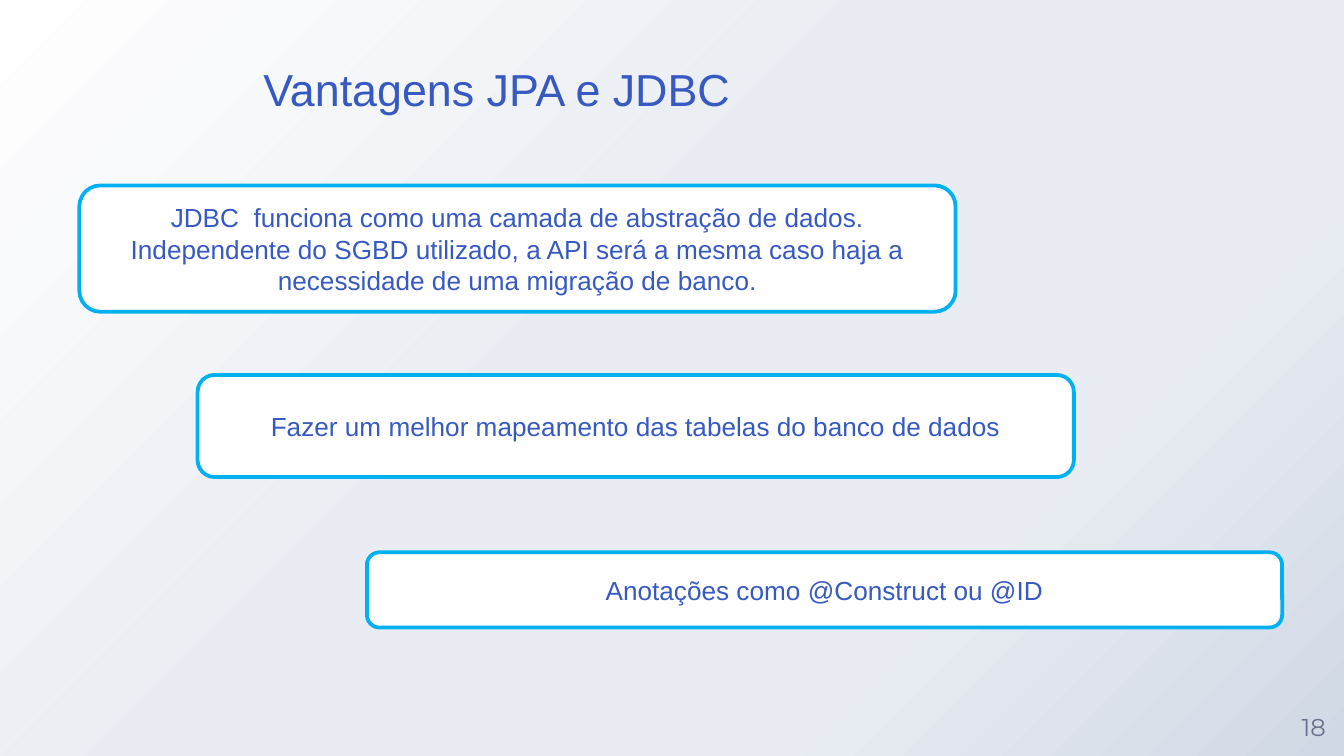
from lxml import etree
from pptx import Presentation
from pptx.dml.color import RGBColor
from pptx.enum.shapes import MSO_SHAPE as Shape
from pptx.enum.text import MSO_ANCHOR as Anchor, PP_ALIGN as Align
from pptx.oxml.ns import qn
from pptx.util import Inches, Pt

BLUE, CYAN, WHITE, GREY = "3659C2", "00B0F0", "FFFFFF", "68728D"
BACKGROUND_STOPS = [(0, WHITE), (44, "E9EDF3"), (72, "E9EDF3"), (100, "D0D8E5")]

# Each advantage: left, top, width, height, text
ADVANTAGES = [
    (0.59, 1.38, 6.52, 0.94,
     "JDBC  funciona como uma camada de abstração de dados. Independente do "
     "SGBD utilizado, a API será a mesma caso haja a necessidade de uma "
     "migração de banco."),
    (1.47, 2.79, 6.52, 0.76,
     "Fazer um melhor mapeamento das tabelas do banco de dados"),
    (2.73, 4.11, 6.81, 0.56, "Anotações como @Construct ou @ID"),
]


def color(value):
    return RGBColor.from_string(value)


def set_text(shape, text, size, font_name, font_color, anchor=Anchor.MIDDLE):
    frame = shape.text_frame
    frame.text = text
    frame.word_wrap = True
    frame.vertical_anchor = anchor
    paragraph = frame.paragraphs[0]
    paragraph.alignment = Align.CENTER
    font = paragraph.runs[0].font
    font.size = Pt(size)
    font.name = font_name
    font.color.rgb = color(font_color)
    return frame


def paint_background(slide):
    """Radial gradient spreading from the top left corner."""
    slide.background.fill.gradient()
    gradient = next(slide.element.iter(qn("a:gradFill")))
    for child in list(gradient):
        gradient.remove(child)
    stops = etree.SubElement(gradient, qn("a:gsLst"))
    for position, value in BACKGROUND_STOPS:
        stop = etree.SubElement(stops, qn("a:gs"), pos=str(position * 1000))
        etree.SubElement(stop, qn("a:srgbClr"), val=value)
    path = etree.SubElement(gradient, qn("a:path"), path="circle")
    etree.SubElement(path, qn("a:fillToRect"), r="100000", b="100000")


def add_title(slide, left, top, width, height):
    box = slide.shapes.add_textbox(
        Inches(left), Inches(top), Inches(width), Inches(height))
    set_text(box, "Vantagens JPA e JDBC", 24, "Arial", BLUE, Anchor.TOP)


def add_advantage(slide, left, top, width, height, text):
    card = slide.shapes.add_shape(
        Shape.ROUNDED_RECTANGLE,
        Inches(left), Inches(top), Inches(width), Inches(height))
    card.shadow.inherit = False
    card.fill.solid()
    card.fill.fore_color.rgb = color(WHITE)
    card.line.color.rgb = color(CYAN)
    card.line.width = Pt(2)
    set_text(card, text, 14, "Arial", BLUE)


def add_page_number(slide, left, top, size):
    box = slide.shapes.add_textbox(
        Inches(left), Inches(top), Inches(size), Inches(size))
    frame = set_text(box, "18", 13, "Montserrat", GREY)
    frame.margin_left = frame.margin_right = 0
    frame.margin_top = frame.margin_bottom = 0


def main():
    presentation = Presentation()
    # Widescreen, 16:9
    presentation.slide_width = Inches(10)
    presentation.slide_height = Inches(10 * 9 / 16)
    slide = presentation.slides.add_slide(presentation.slide_layouts[6])

    paint_background(slide)
    add_page_number(slide, 9.55, 5.18, 0.45)
    add_title(slide, 0.29, 0.41, 6.81, 0.5)
    for advantage in ADVANTAGES:
        add_advantage(slide, *advantage)

    presentation.save("out.pptx")


if __name__ == "__main__":
    main()
